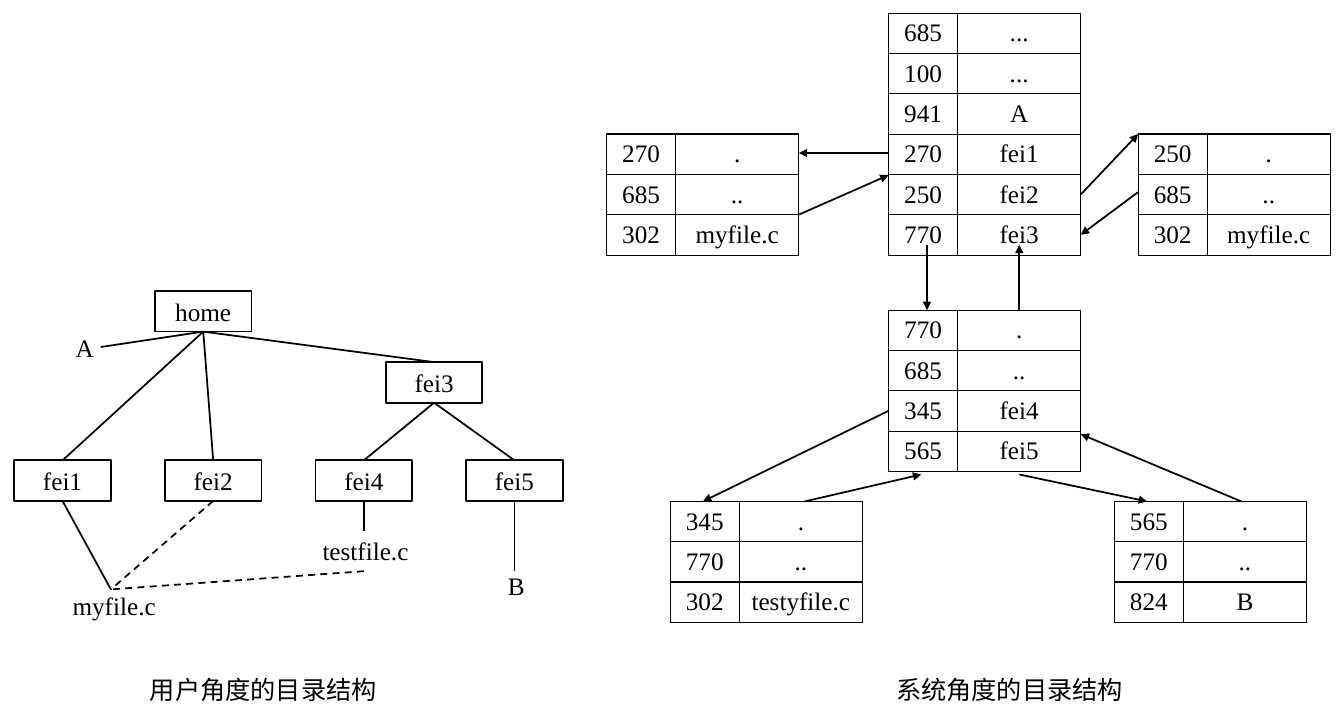
from dataclasses import dataclass

from lxml import etree
from pptx import Presentation
from pptx.dml.color import RGBColor
from pptx.enum.dml import MSO_LINE
from pptx.enum.shapes import MSO_CONNECTOR, MSO_SHAPE
from pptx.enum.text import MSO_ANCHOR, PP_ALIGN
from pptx.oxml.ns import qn
from pptx.util import Pt

RECT = MSO_SHAPE.RECTANGLE
STRAIGHT = MSO_CONNECTOR.STRAIGHT
DASH = MSO_LINE.DASH
LEFT, CENTER = PP_ALIGN.LEFT, PP_ALIGN.CENTER
TOP, MIDDLE = MSO_ANCHOR.TOP, MSO_ANCHOR.MIDDLE


@dataclass(frozen=True)
class Theme:
    ink: str = "000000"
    font: str = "Times New Roman"
    caption_font: str = "Calibri"
    size: float = 18
    line: float = 1.25
    border: float = 1


T = Theme()

# Content: directory tree as users see it (left, top of each box)
BOX_W, BOX_H = 69, 29
LEAF_X, LEAF_STEP, LEAF_Y = 10.2, 107.6, 329
DIRS = {"home": (110.7, 208), "fei3": (275.6, 258.8)}
for i, name in enumerate(["fei1", "fei2", "fei4", "fei5"]):
    DIRS[name] = (LEAF_X + i * LEAF_STEP, LEAF_Y)

BRANCHES = [("fei3", "fei4"), ("fei3", "fei5"),
            ("home", "fei1"), ("home", "fei2"), ("home", "fei3")]
A_END = (72, 248)
MYFILE = (79.2, 421.2)
TESTFILE_TOP, TESTFILE_BOTTOM = 379.2, 408.2
FILES = [("A", 47, 234, 28), ("myfile.c", 44.8, 418, 89),
         ("testfile.c", 223.3, 379.2, 89), ("B", 355.7, 403.9, 28)]
CAPTIONS = [("用户角度的目录结构", 100, 478.5, 207),
            ("系统角度的目录结构", 633, 478.5, 207)]

# Content: directory tables as the system keeps them
COLS, ROW_H = (49.3, 88), 28.8
TABLES = {
    "home": (634.7, 9.4, [("685", "..."), ("100", "..."), ("941", "A"),
                          ("270", "fei1"), ("250", "fei2"), ("770", "fei3")]),
    "fei3": (634.7, 221.6, [("770", "."), ("685", ".."),
                            ("345", "fei4"), ("565", "fei5")]),
    "fei4": (478.8, 358.3, [("345", "."), ("770", ".."), ("302", "testyfile.c")]),
    "fei5": (796, 358.3, [("565", "."), ("770", ".."), ("824", "B")]),
    "fei1": (433.3, 95.8, [("270", "."), ("685", ".."), ("302", "myfile.c")]),
    "fei2": (813, 95.8, [("250", "."), ("685", ".."), ("302", "myfile.c")]),
}

# Arrow ends: table, share of its width, rows below its top
ARROWS = [
    (("home", 0, 3.47), ("fei1", 1, 0.47)),
    (("fei1", 1, 2), ("home", 0, 4.02)),
    (("home", 1, 4.5), ("fei2", 0, 0)),
    (("fei2", 0, 1.44), ("home", 1, 5.5)),
    (("home", 0.2, 5.75), ("fei3", 0.2, 0)),
    (("fei3", 0.68, 0), ("home", 0.68, 5.75)),
    (("fei3", 0, 2.5), ("fei4", 0.17, 0)),
    (("fei4", 0.7, 0), ("fei3", 0.17, 4.08)),
    (("fei3", 0.68, 4.08), ("fei5", 0.17, 0)),
    (("fei5", 0.66, 0), ("fei3", 1, 3.08)),
]

prs = Presentation()
prs.slide_width, prs.slide_height = Pt(960), Pt(510.25)
s = prs.slides.add_slide(prs.slide_layouts[6])
INK = RGBColor.from_string(T.ink)


def write(tf, text, font=T.font, align=LEFT, anchor=TOP):
    tf.word_wrap = True
    tf.vertical_anchor = anchor
    p = tf.paragraphs[0]
    p.alignment = align
    r = p.add_run()
    r.text = text
    r.font.name, r.font.size = font, Pt(T.size)
    r.font.color.rgb = INK


def add_label(text, x, y, w, **fmt):
    tb = s.shapes.add_textbox(Pt(x), Pt(y), Pt(w), Pt(BOX_H))
    write(tb.text_frame, text, **fmt)


def add_line(start, end, dash=None, arrow=False):
    c = s.shapes.add_connector(STRAIGHT, *[Pt(v) for v in (*start, *end)])
    c.line.color.rgb, c.line.width = INK, Pt(T.line)
    if dash:
        c.line.dash_style = dash
    if arrow:
        etree.SubElement(c.line._get_or_add_ln(), qn("a:tailEnd"), type="triangle")
    etree.SubElement(c._element.spPr, qn("a:effectLst"))


def add_borders(cell):
    tc_pr = cell._tc.get_or_add_tcPr()
    for side in ("a:lnL", "a:lnR", "a:lnT", "a:lnB"):
        ln = etree.SubElement(tc_pr, qn(side), w=str(Pt(T.border)))
        fill = etree.SubElement(ln, qn("a:solidFill"))
        etree.SubElement(fill, qn("a:srgbClr"), val=T.ink)


def add_directory(x, y, rows):
    frame = s.shapes.add_table(len(rows), len(COLS), Pt(x), Pt(y),
                               Pt(sum(COLS)), Pt(ROW_H * len(rows)))
    table = frame.table
    table.first_row = table.horz_banding = False
    for col, w in zip(table.columns, COLS):
        col.width = Pt(w)
    for i, row in enumerate(rows):
        table.rows[i].height = Pt(ROW_H)
        for j, text in enumerate(row):
            cell = table.cell(i, j)
            add_borders(cell)
            cell.fill.background()
            write(cell.text_frame, text, align=CENTER)
            cell.vertical_anchor = MIDDLE


def top_of(name):
    x, y = DIRS[name]
    return x + BOX_W / 2, y


def bottom_of(name):
    x, y = top_of(name)
    return x, y + BOX_H


def table_point(name, share, row):
    x, y, _ = TABLES[name]
    return x + share * sum(COLS), y + row * ROW_H


# User view: directories
for name, (x, y) in DIRS.items():
    box = s.shapes.add_shape(RECT, Pt(x), Pt(y), Pt(BOX_W), Pt(BOX_H))
    box.shadow.inherit = False
    box.fill.background()
    box.line.color.rgb, box.line.width = INK, Pt(T.line)
    write(box.text_frame, name, align=CENTER)

# User view: branches, files and links
for parent, child in BRANCHES:
    add_line(bottom_of(parent), top_of(child))
add_line(bottom_of("home"), A_END)
add_line(bottom_of("fei1"), MYFILE)
add_line(bottom_of("fei2"), MYFILE, dash=DASH)
fei4_x, fei5_x = top_of("fei4")[0], top_of("fei5")[0]
add_line((fei4_x, TESTFILE_BOTTOM), MYFILE, dash=DASH)
add_line(bottom_of("fei4"), (fei4_x, TESTFILE_TOP))
add_line(bottom_of("fei5"), (fei5_x, TESTFILE_BOTTOM))
for label in FILES:
    add_label(*label)

# System view: tables and arrows
for directory in TABLES.values():
    add_directory(*directory)
for start, end in ARROWS:
    add_line(table_point(*start), table_point(*end), arrow=True)

# Captions
for caption in CAPTIONS:
    add_label(*caption, font=T.caption_font)

prs.save("out.pptx")
